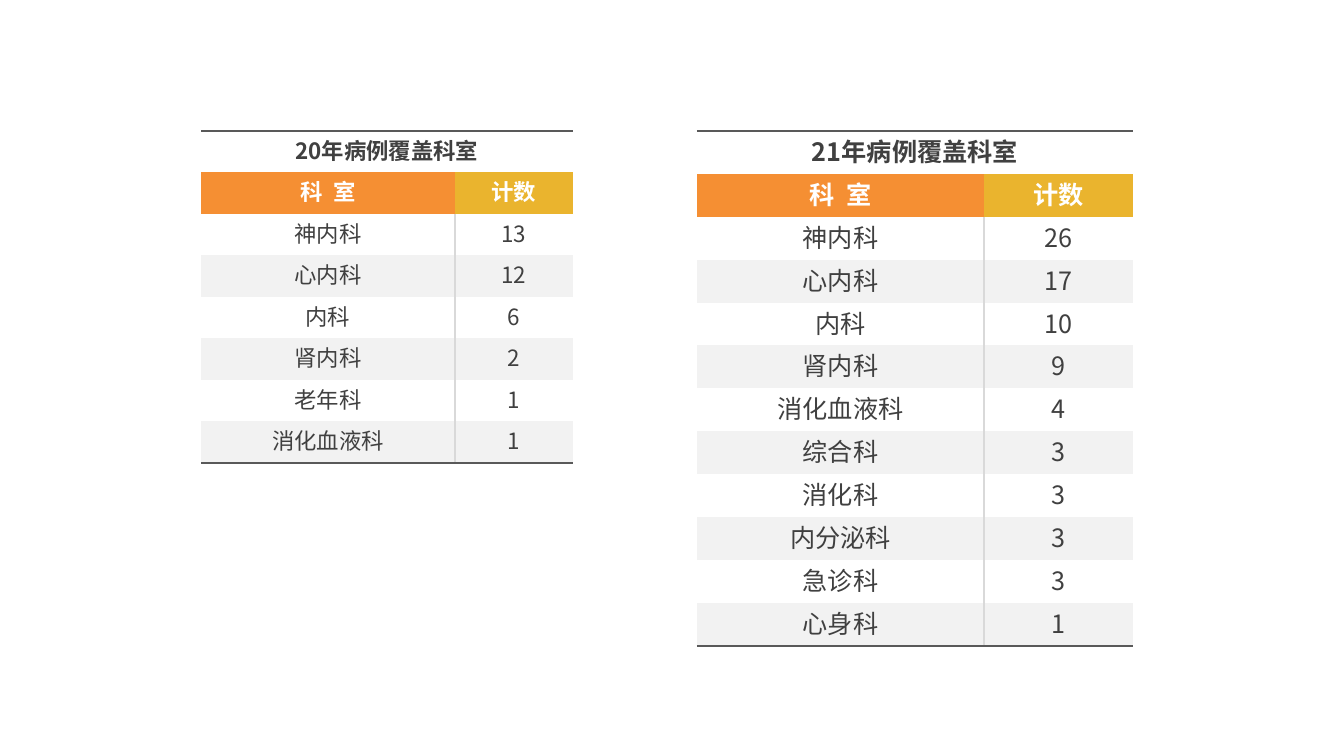
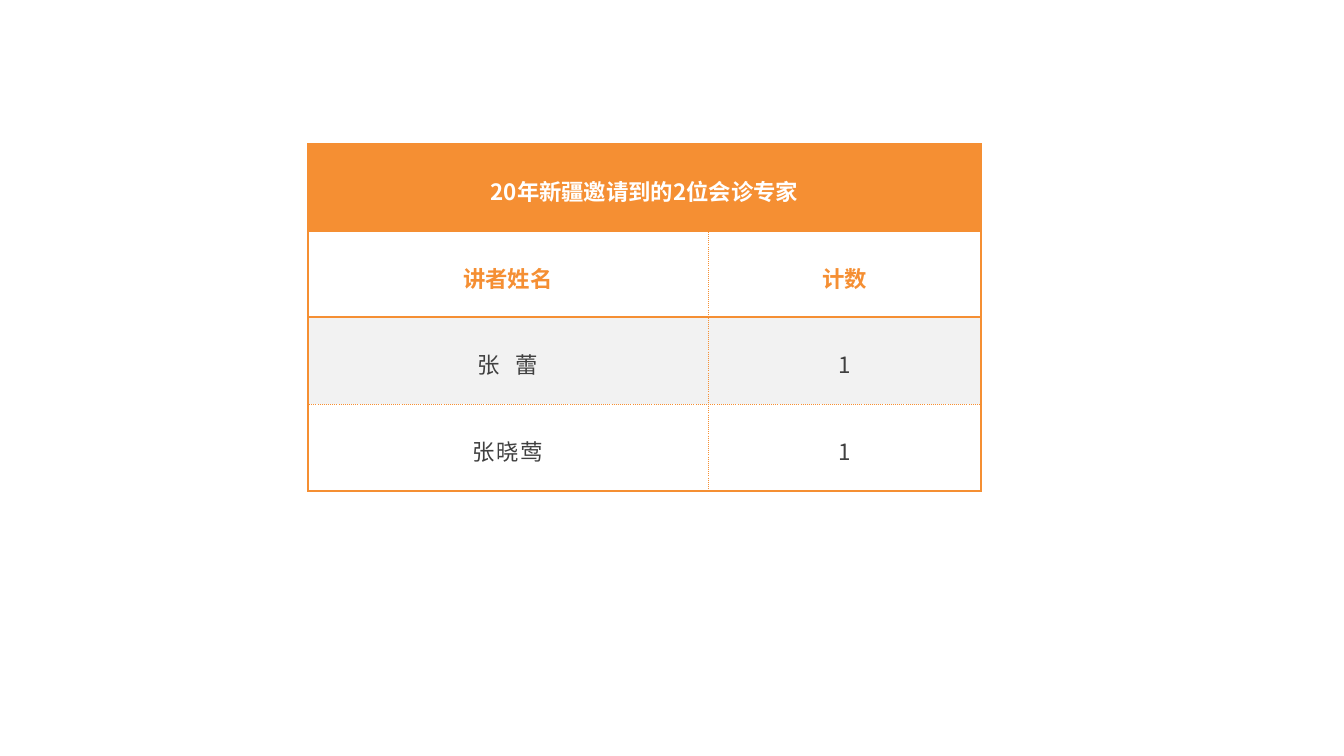
from lxml import etree
from pptx import Presentation
from pptx import util as u
from pptx.dml.color import RGBColor
from pptx.enum import text
from pptx.oxml import ns

PX = 914400 / 100.8
FONT = "Noto Sans CJK SC"
C = {
    "orange": "F58F33",
    "gold": "EAB42E",
    "white": "FFFFFF",
    "band": "F2F2F2",
    "ink": "404040",
    "rule": "595959",
    "hair": "D9D9D9",
}
RULE = ("rule", 1.5, "solid")
HAIR = ("hair", 1, "solid")
FRAME = ("orange", 1.5, "solid")
DOTS = ("orange", 0.25, "sysDot")

CASES_2020 = [("神内科", 13), ("心内科", 12), ("内科", 6), ("肾内科", 2),
              ("老年科", 1), ("消化血液科", 1)]
CASES_2021 = [("神内科", 26), ("心内科", 17), ("内科", 10), ("肾内科", 9),
              ("消化血液科", 4), ("综合科", 3), ("消化科", 3),
              ("内分泌科", 3), ("急诊科", 3), ("心身科", 1)]
EXPERTS = [("张  蕾", 1), ("张晓莺", 1)]


def px(n):
    return u.Emu(round(n * PX))


def set_borders(cell, **sides):
    tcPr = cell._tc.get_or_add_tcPr()
    for i, side in enumerate("LRTB"):
        ln = etree.Element(ns.qn(f"a:ln{side}"))
        line = sides.get(side)
        if line:
            color, width, dash = line
            ln.set("w", str(u.Pt(width)))
            fill = etree.SubElement(ln, ns.qn("a:solidFill"))
            etree.SubElement(fill, ns.qn("a:srgbClr"), val=C[color])
            etree.SubElement(ln, ns.qn("a:prstDash"), val=dash)
        else:
            ln.set("w", "0")
            etree.SubElement(ln, ns.qn("a:noFill"))
        tcPr.insert(i, ln)


def set_cell(cell, value, size, fill, color, inset, bold=False, spacing=None, leading=None):
    cell.fill.solid()
    cell.fill.fore_color.rgb = RGBColor.from_string(C[fill])
    cell.vertical_anchor = text.MSO_ANCHOR.MIDDLE
    cell.margin_left, cell.margin_top, cell.margin_right, cell.margin_bottom = map(px, inset)
    p = cell.text_frame.paragraphs[0]
    p.text = str(value)
    p.alignment = text.PP_ALIGN.CENTER
    if leading:
        p.line_spacing = leading
    for r in p.runs:
        r.font.size = u.Pt(size)
        r.font.name = FONT
        r.font.bold = bold
        r.font.color.rgb = RGBColor.from_string(C[color])
        rPr = r._r.get_or_add_rPr()
        etree.SubElement(rPr, ns.qn("a:ea"), typeface=FONT)
        if spacing:
            rPr.set("spc", str(round(spacing * 100)))


def add_grid(s, box, name_width, row_count):
    x, y, w, h = box
    tbl = s.shapes.add_table(row_count, 2, px(x), px(y), px(w), px(h)).table
    tbl.first_row = tbl.horz_banding = False
    tbl.columns[0].width = px(name_width)
    tbl.columns[1].width = px(w - name_width)
    for row in tbl.rows:
        row.height = px(h / row_count)
    tbl.cell(0, 0).merge(tbl.cell(0, 1))
    return tbl


def department_table(s, box, name_width, title, cases, size):
    tbl = add_grid(s, box, name_width, len(cases) + 2)
    style = {"size": size, "inset": (1, 1, 1, 5)}
    set_cell(tbl.cell(0, 0), title, fill="white", color="ink", bold=True, **style)
    for col, (label, fill) in enumerate([("科  室", "orange"), ("计数", "gold")]):
        set_borders(tbl.cell(0, col), T=RULE)
        set_cell(tbl.cell(1, col), label, fill=fill, color="white", bold=True, **style)
        set_borders(tbl.cell(1, col))
    for i, case in enumerate(cases):
        bottom = RULE if i == len(cases) - 1 else None
        for col, value in enumerate(case):
            cell = tbl.cell(i + 2, col)
            set_cell(cell, value, fill="band" if i % 2 else "white", color="ink", **style)
            set_borders(cell, B=bottom, **{"RL"[col]: HAIR})


def expert_table(s, box, name_width, title, experts):
    tbl = add_grid(s, box, name_width, len(experts) + 2)
    style = {"size": 16, "inset": (35, 24, 35, 24), "leading": 1.2}
    set_cell(tbl.cell(0, 0), title, fill="orange", color="white", bold=True, **style)
    for col, label in enumerate(["讲者姓名", "计数"]):
        sides = {"L": DOTS if col else FRAME, "R": FRAME if col else DOTS}
        set_borders(tbl.cell(0, col), L=FRAME, R=FRAME, T=FRAME, B=FRAME)
        head = tbl.cell(1, col)
        set_cell(head, label, fill="white", color="orange", bold=True, **style)
        set_borders(head, T=FRAME, B=FRAME, **sides)
        for i, expert in enumerate(experts):
            cell = tbl.cell(i + 2, col)
            set_cell(cell, expert[col], fill="white" if i % 2 else "band",
                     color="ink", spacing=1.3, **style)
            set_borders(cell, T=DOTS if i else FRAME,
                        B=FRAME if i == len(experts) - 1 else DOTS, **sides)


def main():
    prs = Presentation()
    prs.slide_width, prs.slide_height = px(1344), px(756)
    blank = prs.slide_layouts[6]

    s = prs.slides.add_slide(blank)
    department_table(s, (201, 131, 372, 332), 254, "20年病例覆盖科室", CASES_2020, 16)
    department_table(s, (697, 131, 436, 515), 287, "21年病例覆盖科室", CASES_2021, 18)

    s = prs.slides.add_slide(blank)
    expert_table(s, (308, 144, 673, 345), 400, "20年新疆邀请到的2位会诊专家", EXPERTS)

    prs.save("out.pptx")


if __name__ == "__main__":
    main()
